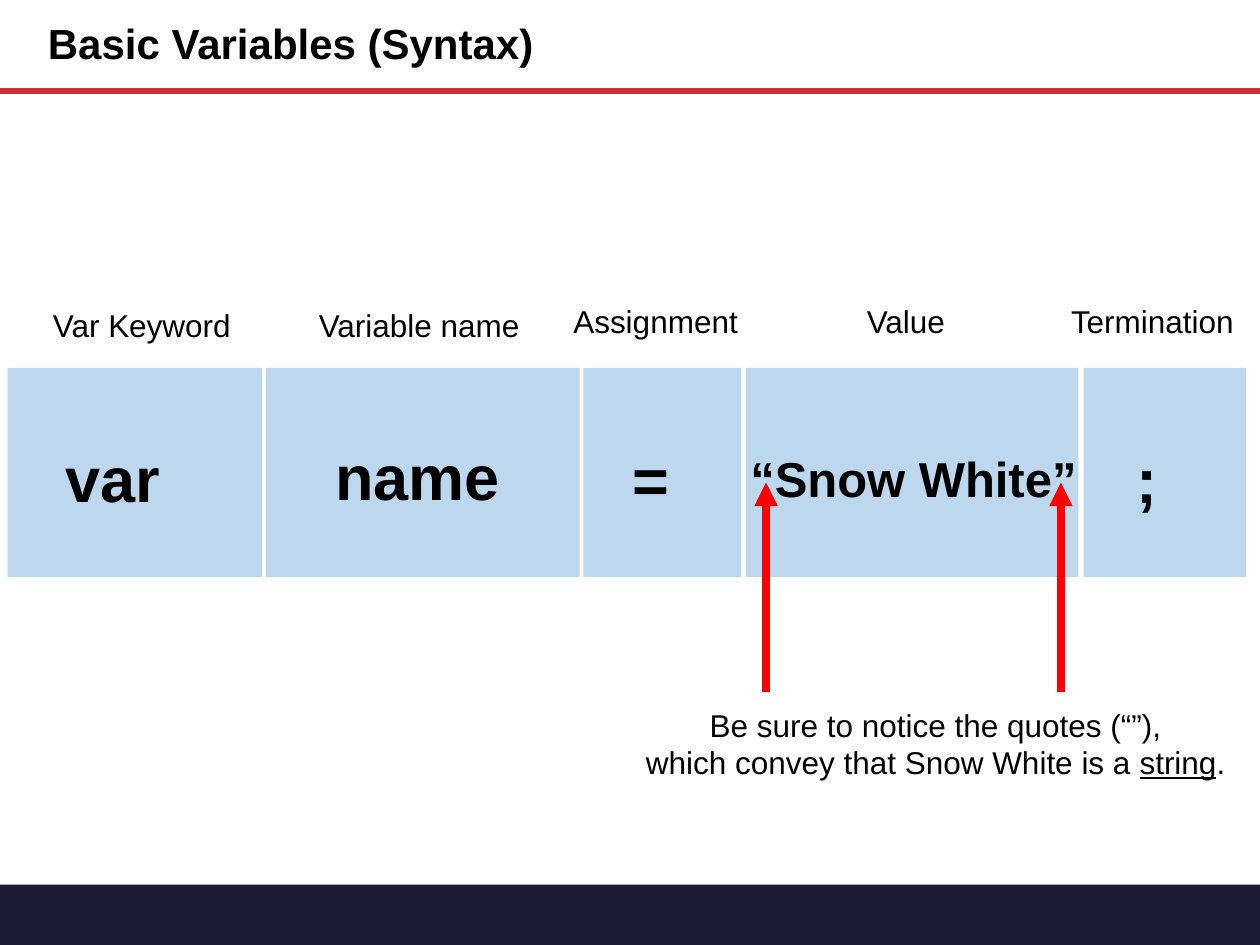
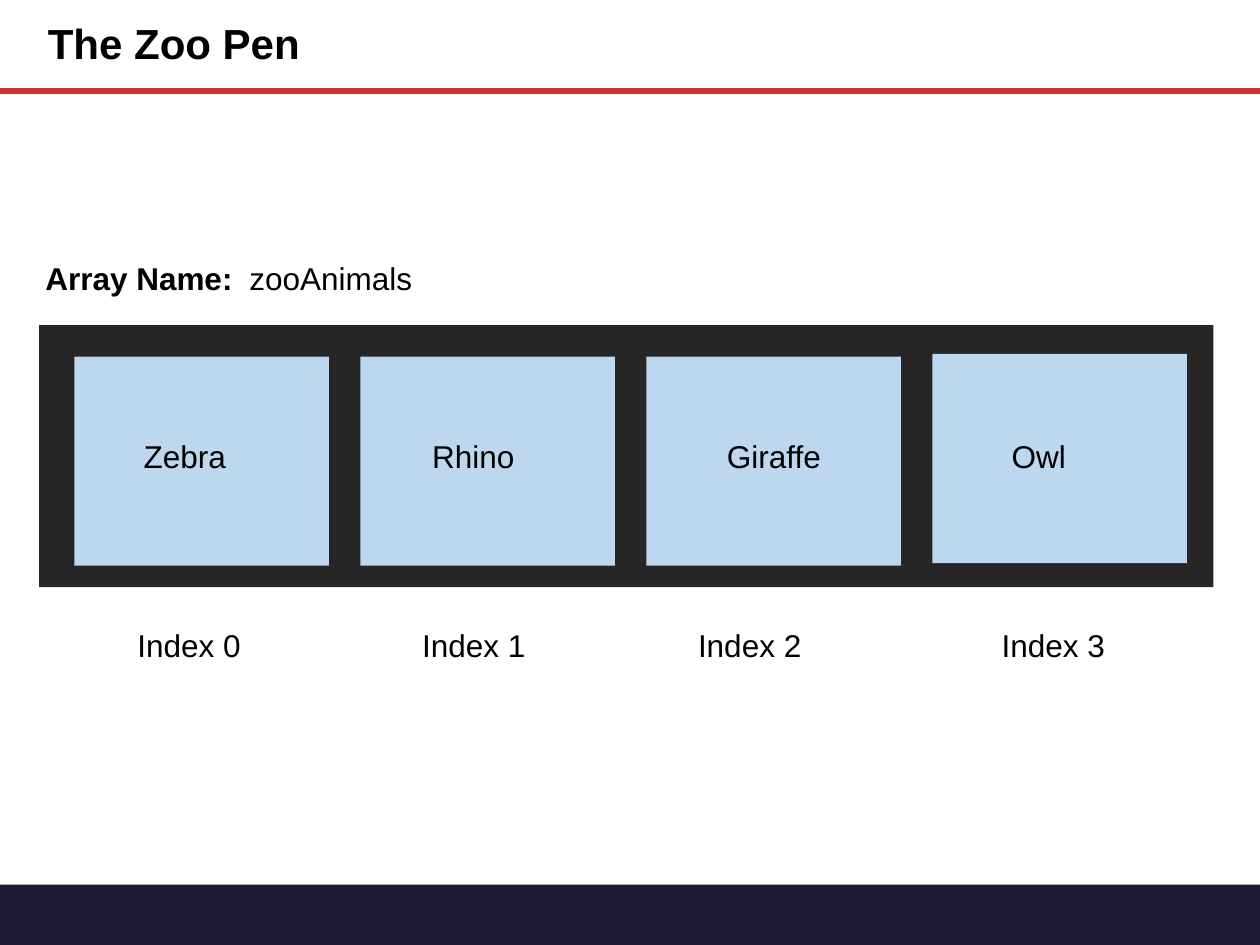
from typing import NamedTuple

from lxml.etree import SubElement
from pptx import Presentation
from pptx.dml.color import RGBColor
from pptx.enum.shapes import MSO_CONNECTOR, MSO_SHAPE
from pptx.enum.text import MSO_ANCHOR, MSO_AUTO_SIZE, PP_ALIGN
from pptx.oxml.ns import qn
from pptx.util import Inches, Pt

BLACK = RGBColor(0x00, 0x00, 0x00)
NAVY = RGBColor(0x1D, 0x1A, 0x36)
CRIMSON = RGBColor(0xC8, 0x32, 0x32)
RED = RGBColor(0xFF, 0x00, 0x00)
SKY = RGBColor(0xBD, 0xD7, 0xEE)
CHARCOAL = RGBColor(0x26, 0x26, 0x26)
FONT = "Arial"
BLOCK_H = 1.66
PEN_W = 2.02
PEN_STEP = 2.27


class Run(NamedTuple):
    """A piece of text with its emphasis."""
    text: str
    bold: bool = False
    underline: bool = False


class Box(NamedTuple):
    """A rectangle in inches."""
    left: float
    top: float
    width: float
    height: float = 0.38


class Token(NamedTuple):
    """One part of the variable statement, with its label."""
    left: float
    width: float
    code: str
    code_box: Box
    label: str
    label_box: Box
    size: int = 36
    align: PP_ALIGN = PP_ALIGN.LEFT


class Pen(NamedTuple):
    """One animal in the array, with its text positions."""
    animal: str
    animal_left: float
    animal_width: float
    index_left: float
    top: float = 2.83


TOKENS = [
    Token(0.06, 2.02, "var", Box(0.47, 3.44, 1.55, 0.67),
          "Var Keyword", Box(0.37, 2.38, 1.53)),
    Token(2.11, 2.49, "name", Box(2.61, 3.42, 2.09, 0.67),
          "Variable name", Box(2.48, 2.38, 1.71)),
    Token(4.63, 1.25, "=", Box(4.97, 3.45, 0.93, 0.67),
          "Assignment", Box(4.5, 2.35, 1.42)),
    Token(5.92, 2.64, "“Snow White”", Box(5.76, 3.51, 2.98, 0.53),
          "Value", Box(6.83, 2.35, 0.73), 28, PP_ALIGN.CENTER),
    Token(8.6, 1.29, ";", Box(8.97, 3.45, 0.93, 0.67),
          "Termination", Box(8.45, 2.35, 1.41)),
]
PENS = [
    Pen("Zebra", 1.09, 0.77, 1.04),
    Pen("Rhino", 3.38, 0.77, 3.3),
    Pen("Giraffe", 5.72, 0.86, 5.49),
    Pen("Owl", 7.98, 0.54, 7.9, 2.81),
]
QUOTE_XS = (8.42, 6.08)


def add_rect(s, box: Box, color: RGBColor) -> None:
    """Draw a plain filled rectangle."""
    sp = s.shapes.add_shape(MSO_SHAPE.RECTANGLE, *map(Inches, box))
    sp.shadow.inherit = False
    sp.fill.solid()
    sp.fill.fore_color.rgb = color
    sp.line.fill.background()


def add_line(s, start: tuple[float, float], end: tuple[float, float],
             color: RGBColor, width: float, arrow: bool = False) -> None:
    """Draw a straight line, with an arrowhead at its end if asked."""
    c = s.shapes.add_connector(MSO_CONNECTOR.STRAIGHT, *map(Inches, start + end))
    c.line.color.rgb = color
    c.line.width = Pt(width)
    if arrow:
        SubElement(c.line._get_or_add_ln(), qn("a:tailEnd"), type="triangle")
    SubElement(c._element.spPr, qn("a:effectLst"))


def add_text(s, box: Box, text: str | list[list[Run]], *, size: int = 18,
             bold: bool = False, align: PP_ALIGN = PP_ALIGN.LEFT,
             anchor: MSO_ANCHOR = MSO_ANCHOR.TOP, wrap: bool = False,
             grow: bool = True, spacing: float = 1.0, tab: float = 0) -> None:
    """Write a string or paragraphs of runs in a text box."""
    tf = s.shapes.add_textbox(*map(Inches, box)).text_frame
    tf.word_wrap = wrap
    tf.auto_size = MSO_AUTO_SIZE.SHAPE_TO_FIT_TEXT if grow else MSO_AUTO_SIZE.NONE
    tf.vertical_anchor = anchor
    tf.margin_left = tf.margin_right = tf.margin_top = tf.margin_bottom = Inches(0.05)
    paragraphs = [[Run(text, bold)]] if isinstance(text, str) else text
    for i, runs in enumerate(paragraphs):
        p = tf.add_paragraph() if i else tf.paragraphs[0]
        p.alignment = align
        p.line_spacing = spacing
        if tab:
            tabs = SubElement(p._p.get_or_add_pPr(), qn("a:tabLst"))
            SubElement(tabs, qn("a:tab"), pos=str(Inches(tab)), algn="l")
        for run in runs:
            r = p.add_run()
            r.text = run.text
            r.font.name = FONT
            r.font.size = Pt(size)
            r.font.color.rgb = BLACK
            r.font.bold = run.bold
            r.font.underline = run.underline


def add_slide(prs, title: str):
    """Add a blank slide with the shared footer band, rule and title."""
    s = prs.slides.add_slide(prs.slide_layouts[6])
    add_rect(s, Box(0, 7.02, 10, 0.48), NAVY)
    add_line(s, (0, 0.72), (10, 0.72), CRIMSON, 3.25)
    add_text(s, Box(0.33, 0, 5.98, 0.72), title, size=24, bold=True,
             anchor=MSO_ANCHOR.MIDDLE, wrap=True, grow=False, spacing=0.9)
    return s


def build_syntax(prs) -> None:
    """Build the slide on the parts of a variable statement."""
    s = add_slide(prs, "Basic Variables (Syntax)")
    for token in TOKENS:
        add_rect(s, Box(token.left, 2.92, token.width, BLOCK_H), SKY)
    for x in QUOTE_XS:
        add_line(s, (x, 5.49), (x, 3.83), RED, 4.5, arrow=True)
    for token in TOKENS:
        add_text(s, token.label_box, token.label)
        add_text(s, token.code_box, token.code, size=token.size, bold=True,
                 align=token.align, wrap=True)
    add_text(s, Box(5.07, 5.55, 4.71, 0.68), [
        [Run("Be sure to notice the quotes (“”),")],
        [Run("which convey that Snow White is a "),
         Run("string", underline=True), Run(".")],
    ], align=PP_ALIGN.CENTER)


def build_zoo(prs) -> None:
    """Build the slide that shows an array as a row of pens."""
    s = add_slide(prs, "The Zoo Pen")
    add_rect(s, Box(0.31, 2.58, 9.32, 2.08), CHARCOAL)
    add_text(s, Box(0.31, 2.01, 3.03),
             [[Run("Array Name:", bold=True), Run("\tzooAnimals")]],
             wrap=True, tab=1.62)
    for i, pen in enumerate(PENS):
        add_rect(s, Box(0.59 + i * PEN_STEP, pen.top, PEN_W, BLOCK_H), SKY)
        add_text(s, Box(pen.animal_left, 3.42, pen.animal_width), pen.animal)
        add_text(s, Box(pen.index_left, 4.92, 0.93), f"Index {i}")


def main() -> None:
    """Build and save the deck."""
    prs = Presentation()
    prs.slide_width, prs.slide_height = Inches(10), Inches(7.5)
    build_syntax(prs)
    build_zoo(prs)
    prs.save("out.pptx")


if __name__ == "__main__":
    main()
